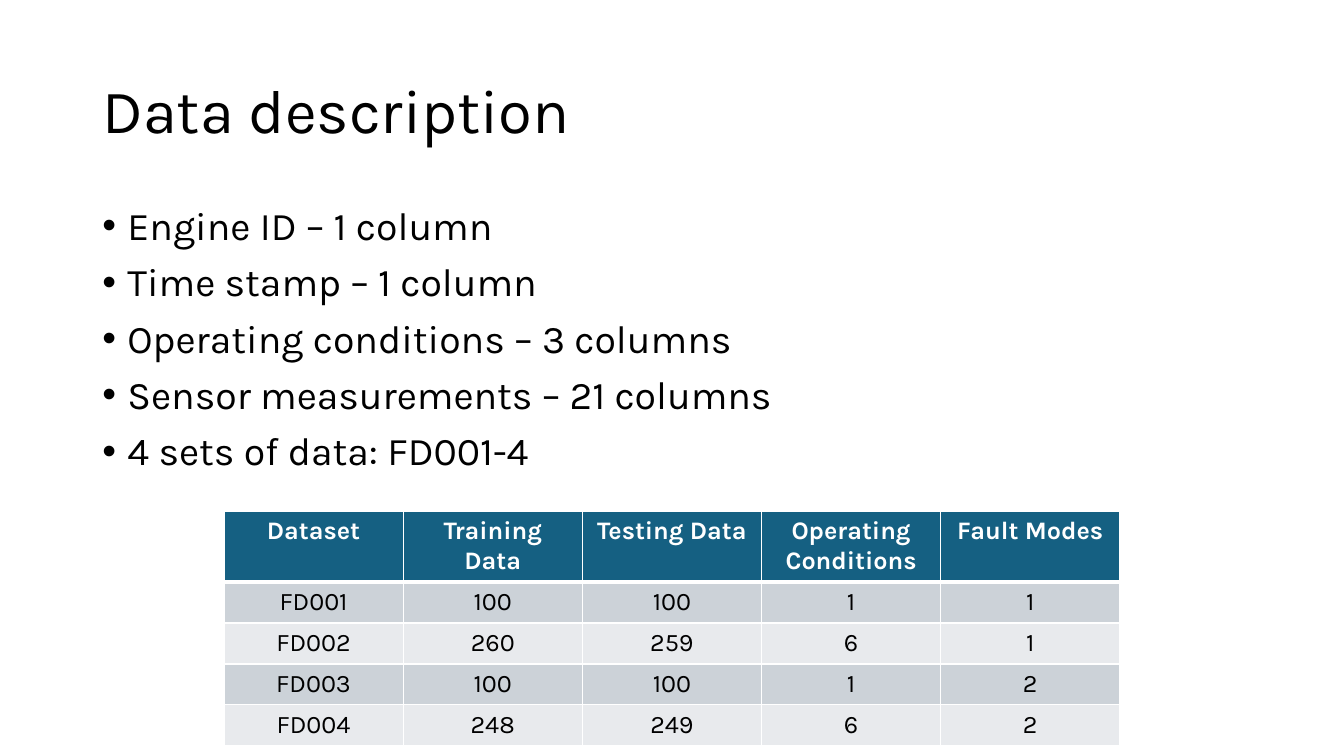
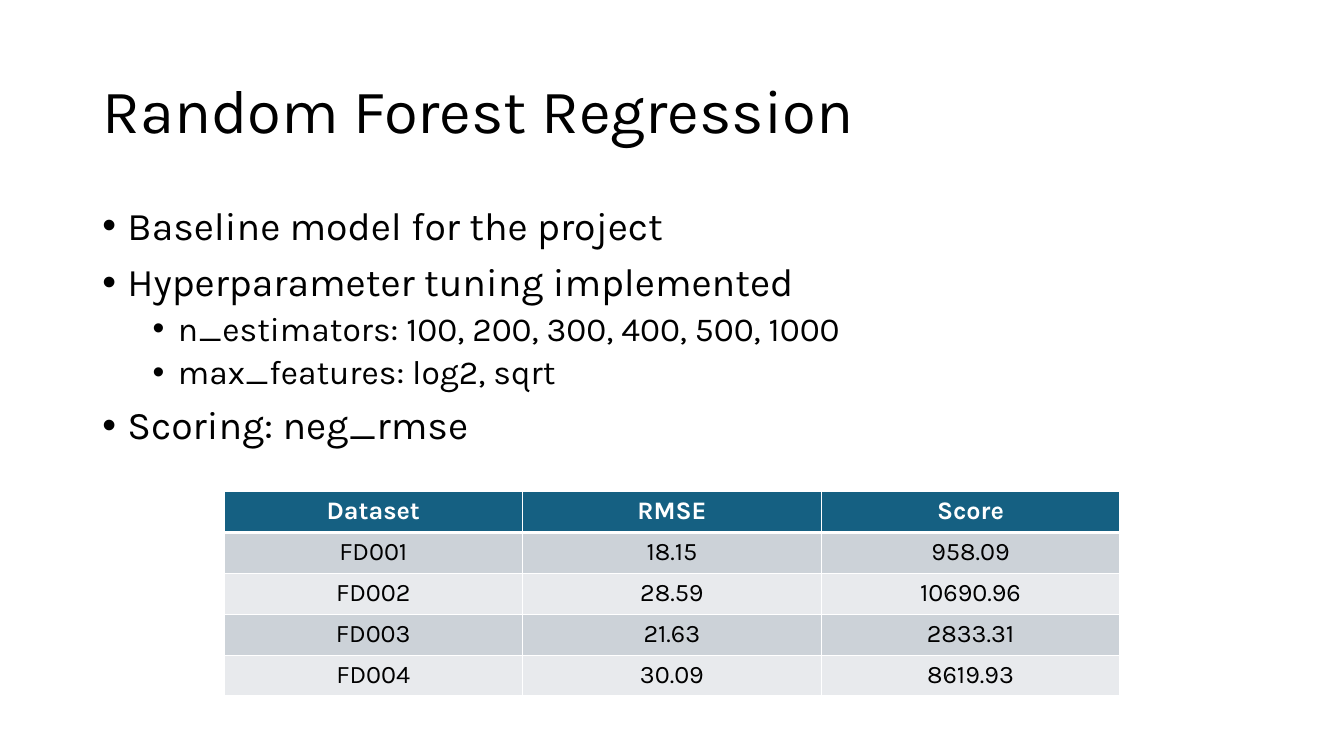
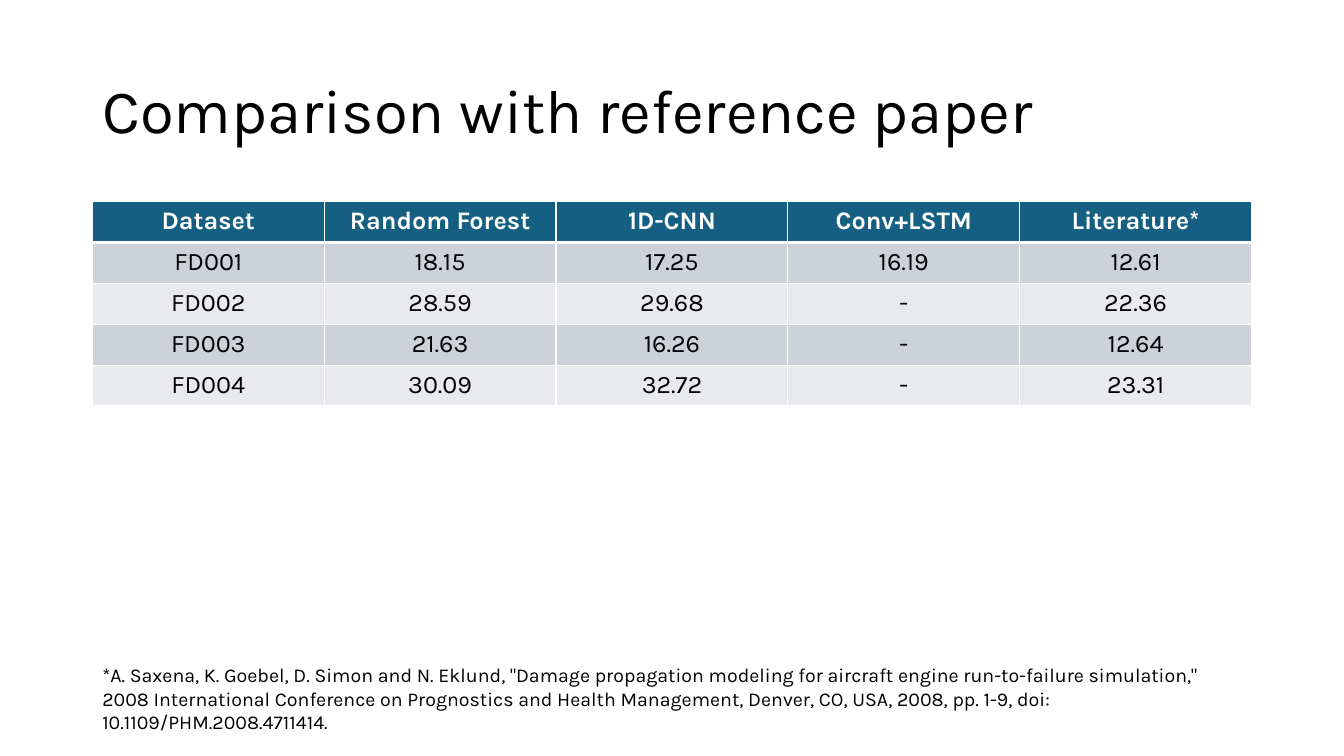
"""Build three slides on engine data, a forest model and its rivals."""
import dataclasses

import lxml.etree
import pptx
import pptx.dml.color
import pptx.enum.text
import pptx.oxml.ns
import pptx.util

Pt = pptx.util.Pt
ALIGN = pptx.enum.text.PP_ALIGN
ANCHOR = pptx.enum.text.MSO_ANCHOR
FIT = pptx.enum.text.MSO_AUTO_SIZE


@dataclasses.dataclass(frozen=True)
class Theme:
    face: str = "Karla"
    ink: str = "000000"
    paper: str = "FFFFFF"
    head: str = "156082"
    bands: tuple = ("CCD2D8", "E8EAED")
    title: int = 44
    levels: tuple = (28, 24)
    cell: int = 18
    note: int = 14
    left: float = 66
    width: float = 828
    row: float = 29.2


THEME = Theme()


def color(code):
    return pptx.dml.color.RGBColor.from_string(code)


def style(para, size, ink=THEME.ink, bold=False):
    font = para.font
    font.name, font.size, font.bold = THEME.face, Pt(size), bold
    font.color.rgb = color(ink)


def child(parent, tag, **attrs):
    return lxml.etree.SubElement(parent, pptx.oxml.ns.qn(tag), **attrs)


def add_slide(deck, title):
    slide = deck.slides.add_slide(deck.slide_layouts[5])
    shape = slide.shapes.title
    shape.left, shape.top = Pt(THEME.left), Pt(28.8)
    shape.width, shape.height = Pt(THEME.width), Pt(104.4)
    frame = shape.text_frame
    frame.text = title
    frame.auto_size = FIT.NONE
    frame.vertical_anchor = ANCHOR.MIDDLE
    para = frame.paragraphs[0]
    para.alignment, para.line_spacing = ALIGN.LEFT, 0.9
    style(para, THEME.title)
    return slide


def add_box(slide, top, height):
    box = slide.shapes.add_textbox(
        Pt(THEME.left), Pt(top), Pt(THEME.width), Pt(height))
    box.text_frame.word_wrap = True
    return box.text_frame


def add_list(slide, items):
    frame = add_box(slide, 144, 342.7)
    for spot, (level, text) in enumerate(items):
        para = frame.add_paragraph() if spot else frame.paragraphs[0]
        para.text, para.level = text, level
        para.line_spacing, para.space_before = 0.9, Pt(5 if level else 10)
        props = para._p.get_or_add_pPr()
        props.set("marL", str(Pt(18 + 36 * level)))
        props.set("indent", str(Pt(-18)))
        child(props, "a:buFont", typeface="Arial")
        child(props, "a:buChar", char="•")
        style(para, THEME.levels[level])


def add_note(slide, text):
    frame = add_box(slide, 470, 41)
    frame.text = text
    frame.auto_size = FIT.SHAPE_TO_FIT_TEXT
    style(frame.paragraphs[0], THEME.note)


def edge(cell, side, width):
    line = child(cell._tc.get_or_add_tcPr(), f"a:ln{side}", w=str(Pt(width)))
    child(child(line, "a:solidFill"), "a:srgbClr", val=THEME.paper)


def add_grid(slide, left, top, width, rows):
    count = len(rows[0])
    table = slide.shapes.add_table(
        len(rows), count, Pt(left), Pt(top), Pt(width),
        Pt(THEME.row * len(rows))).table
    table.horz_banding = False
    for column in table.columns:
        column.width = Pt(width / count)
    for down, row in enumerate(rows):
        table.rows[down].height = Pt(THEME.row)
        head = down == 0
        fill = THEME.head if head else THEME.bands[(down - 1) % 2]
        for across, text in enumerate(row):
            cell = table.cell(down, across)
            cell.text = text
            para = cell.text_frame.paragraphs[0]
            para.alignment = ALIGN.CENTER
            style(para, THEME.cell, THEME.paper if head else THEME.ink, head)
            for side in "LRTB":
                thick = (down, side) in ((0, "B"), (1, "T"))
                edge(cell, side, 3 if thick else 1)
            cell.fill.solid()
            cell.fill.fore_color.rgb = color(fill)


def main():
    deck = pptx.Presentation()
    deck.slide_width, deck.slide_height = Pt(960), Pt(540)

    slide = add_slide(deck, "Data description")
    add_list(slide, [
        (0, "Engine ID – 1 column"),
        (0, "Time stamp – 1 column"),
        (0, "Operating conditions – 3 columns"),
        (0, "Sensor measurements – 21 columns"),
        (0, "4 sets of data: FD001-4"),
    ])
    add_grid(slide, 160, 365.4, 640, [
        ("Dataset", "Training Data", "Testing Data",
         "Operating Conditions", "Fault Modes"),
        ("FD001", "100", "100", "1", "1"),
        ("FD002", "260", "259", "6", "1"),
        ("FD003", "100", "100", "1", "2"),
        ("FD004", "248", "249", "6", "2"),
    ])

    slide = add_slide(deck, "Random Forest Regression")
    add_list(slide, [
        (0, "Baseline model for the project"),
        (0, "Hyperparameter tuning implemented"),
        (1, "n_estimators: 100, 200, 300, 400, 500, 1000"),
        (1, "max_features: log2, sqrt"),
        (0, "Scoring: neg_rmse"),
    ])
    add_grid(slide, 160, 351.2, 640, [
        ("Dataset", "RMSE", "Score"),
        ("FD001", "18.15", "958.09"),
        ("FD002", "28.59", "10690.96"),
        ("FD003", "21.63", "2833.31"),
        ("FD004", "30.09", "8619.93"),
    ])

    slide = add_slide(deck, "Comparison with reference paper")
    add_grid(slide, THEME.left, 144, THEME.width, [
        ("Dataset", "Random Forest", "1D-CNN", "Conv+LSTM", "Literature*"),
        ("FD001", "18.15", "17.25", "16.19", "12.61"),
        ("FD002", "28.59", "29.68", "-", "22.36"),
        ("FD003", "21.63", "16.26", "-", "12.64"),
        ("FD004", "30.09", "32.72", "-", "23.31"),
    ])
    add_note(slide, (
        '*A. Saxena, K. Goebel, D. Simon and N. Eklund, "Damage propagation '
        'modeling for aircraft engine run-to-failure simulation," 2008 '
        "International Conference on Prognostics and Health Management, "
        "Denver, CO, USA, 2008, pp. 1-9, doi: 10.1109/PHM.2008.4711414."))

    deck.save("out.pptx")


if __name__ == "__main__":
    main()
